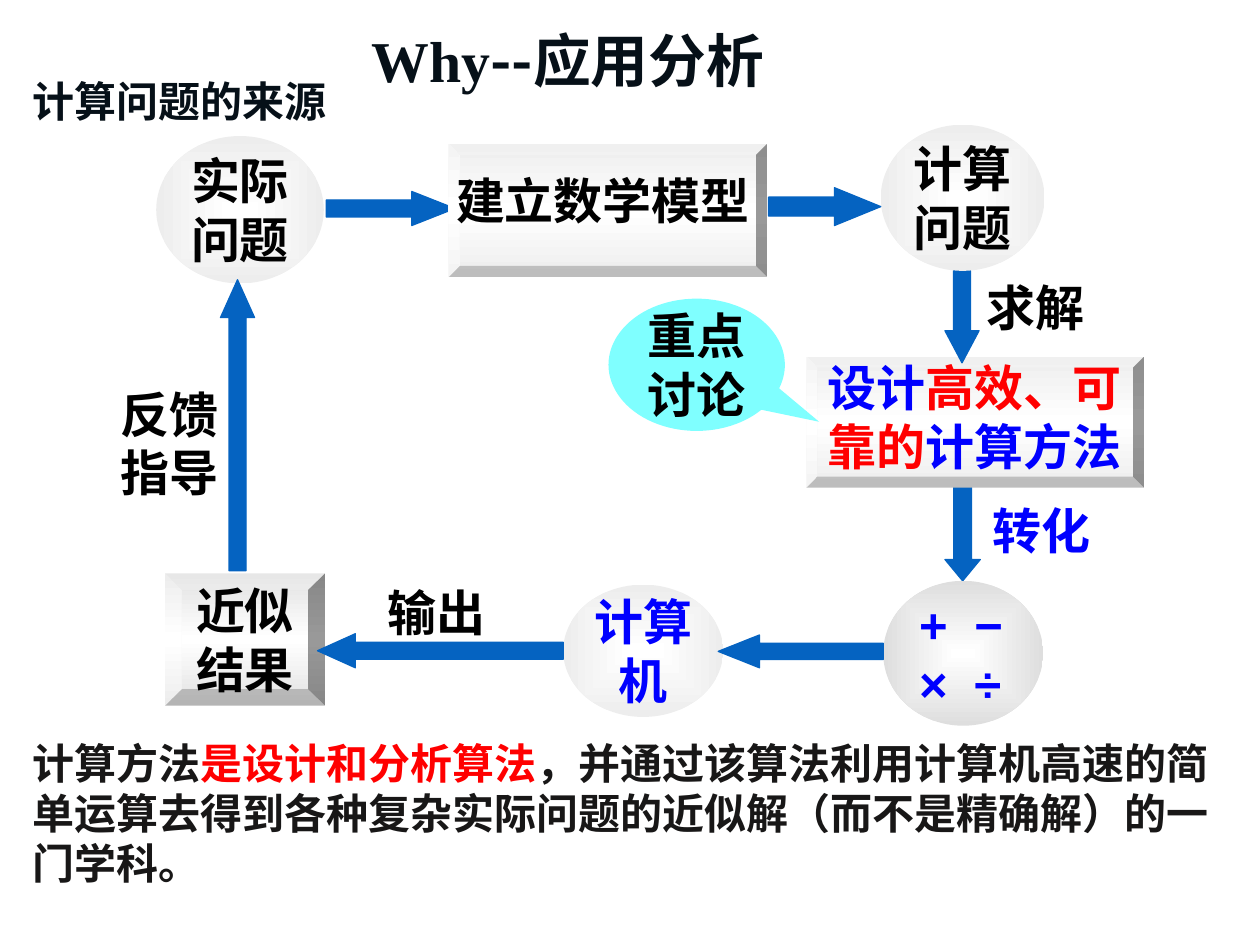
from lxml import etree
from pptx import Presentation
from pptx.dml.color import RGBColor
from pptx.enum.shapes import MSO_SHAPE as SHAPE
from pptx.enum.text import MSO_ANCHOR as ANCHOR, PP_ALIGN as ALIGN
from pptx.oxml import parse_xml
from pptx.oxml.ns import nsdecls, qn
from pptx.util import Inches, Pt

CJK = "Noto Sans CJK SC"
BLACK, BLUE, RED, ARROW = "000000", "0000FF", "FF0000", "0563C1"
INK, BODY = "061018", "181717"


def rgb(value):
    return RGBColor.from_string(value)


def inches(box):
    return [Inches(v) for v in box]


def write(sp, lines, size=28, font="Arial", align=ALIGN.LEFT, anchor=ANCHOR.TOP,
          margins=(0.1, 0.05, 0.1, 0.05), wrap=True):
    """Fill sp with lines; each line is a list of (text, colour) runs."""
    tf = sp.text_frame
    tf.word_wrap, tf.vertical_anchor = wrap, anchor
    tf.margin_left, tf.margin_top, tf.margin_right, tf.margin_bottom = inches(margins)
    for i, runs in enumerate(lines):
        p = tf.add_paragraph() if i else tf.paragraphs[0]
        p.alignment = align
        p.font.size, p.font.bold, p.font.name = Pt(size), True, font
        for text, color in runs:
            r = p.add_run()
            r.text = text
            r.font.color.rgb = rgb(color)
            ea = etree.SubElement(r.font._element, qn("a:ea"))
            ea.set("typeface", CJK)
    return tf


def label(s, box, lines, **style):
    sp = s.shapes.add_textbox(*inches(box))
    write(sp, lines, **style)
    return sp


def add_shape(s, kind, box, fill, adjustments=()):
    sp = s.shapes.add_shape(kind, *inches(box))
    sp.shadow.inherit = False
    sp.fill.solid()
    sp.fill.fore_color.rgb = rgb(fill)
    sp.line.fill.background()
    for i, value in enumerate(adjustments):
        sp.adjustments[i] = value
    return sp


def set_gradient(sp, colors, direction):
    last = len(colors) - 1
    stops = "".join(
        f'<a:gs pos="{100000 * i // last}"><a:srgbClr val="{c}"/></a:gs>'
        for i, c in enumerate(colors))
    grad = parse_xml(f'<a:gradFill {nsdecls("a")} rotWithShape="1">'
                     f'<a:gsLst>{stops}</a:gsLst>{direction}</a:gradFill>')
    solid = sp._element.spPr.find(qn("a:solidFill"))
    solid.getparent().replace(solid, grad)


def ball(s, box, edge="EDEDED"):
    sp = add_shape(s, SHAPE.OVAL, box, edge)
    set_gradient(sp, ["FFFFFF", edge],
                 '<a:path path="shape"><a:fillToRect l="50000" t="50000" '
                 'r="50000" b="50000"/></a:path>')
    return sp


def plate(s, box, edge="EDEDED", depth=0.084):
    sp = add_shape(s, SHAPE.BEVEL, box, edge, [depth])
    set_gradient(sp, [edge, "FFFFFF", edge], '<a:lin ang="5400000" scaled="1"/>')
    return sp


def centre(sp, words, color=BLACK, font="Arial"):
    write(sp, [[(w, color)] for w in words], font=font, align=ALIGN.CENTER,
          anchor=ANCHOR.MIDDLE, margins=(0, 0.05, 0, 0.05), wrap=False)


def arrow(s, kind, box, head, rotation=0):
    sp = add_shape(s, kind, box, ARROW, [0.5, head])
    sp.line.color.rgb = rgb(ARROW)
    sp.line.width = Pt(0.75)
    sp.rotation = rotation


def operators(s, box):
    tf = write(ball(s, box, "DEDEDE"), [[("+\t−", BLUE)], [("×\t÷", BLUE)]],
               anchor=ANCHOR.MIDDLE)
    for p in tf.paragraphs:
        pPr = p._p.get_or_add_pPr()
        pPr.insert(0, parse_xml(f'<a:tabLst {nsdecls("a")}>'
                                f'<a:tab pos="{Inches(0.44)}" algn="l"/></a:tabLst>'))


def modelling_row(s, x, y):
    """Real problem -> mathematical model -> computing problem."""
    centre(ball(s, (x, y + 0.09, 1.33, 1.17)), ["实际", "问题"])
    arrow(s, SHAPE.RIGHT_ARROW, (x + 1.35, y + 0.53, 1.02, 0.27), 1.266)
    plate(s, (x + 2.32, y + 0.15, 2.53, 1.06))
    label(s, (x + 2.38, y + 0.36, 2.47, 0.62), [[("建立数学模型", BLACK)]],
          font=CJK, margins=(0, 0, 0, 0))
    centre(ball(s, (x + 5.75, y, 1.3, 1.16)), ["计算", "问题"], font=CJK)
    arrow(s, SHAPE.RIGHT_ARROW, (x + 4.86, y + 0.5, 0.89, 0.3), 1.225)


def method_column(s, x, y):
    """Solve, design the method, convert it to basic operations."""
    arrow(s, SHAPE.RIGHT_ARROW, (x + 0.85, y + 1.93, 0.78, 0.28), 0.604, 90)
    operators(s, (x + 0.61, y + 2.46, 1.27, 1.15))
    plate(s, (x, y + 0.68, 2.68, 1.04))
    label(s, (x + 0.17, y + 0.69, 2.68, 0.74),
          [[("设计", BLUE), ("高效、可", RED)], [("靠的", RED), ("计算方法", BLUE)]],
          font=CJK, margins=(0, 0, 0, 0))
    arrow(s, SHAPE.RIGHT_ARROW, (x + 0.87, y + 0.23, 0.73, 0.27), 0.942, 90)
    label(s, (x + 1.33, y, 1.11, 0.57), [[("求解", BLACK)]])
    label(s, (x + 1.31, y + 1.77, 1.11, 0.57), [[("转化", BLUE)]], align=ALIGN.CENTER)


def result_row(s, x, y):
    """Computer -> approximate result."""
    centre(ball(s, (x + 3.16, y + 0.09, 1.27, 1.05)), ["计算", "机"], BLUE)
    arrow(s, SHAPE.LEFT_ARROW, (x + 4.39, y + 0.49, 1.31, 0.26), 1.258)
    centre(plate(s, (x, y, 1.27, 1.05), "E2E2E2", 0.125), ["近似", "结果"])
    arrow(s, SHAPE.LEFT_ARROW, (x + 1.21, y + 0.48, 1.95, 0.27), 1.111)
    label(s, (x + 1.67, y + 0.02, 1.14, 0.52), [[("输出", BLACK)]])


def feedback(s, x, y):
    arrow(s, SHAPE.LEFT_ARROW, (x - 0.02, y + 0.24, 2.31, 0.27), 1.111, 90)
    label(s, (x, y, 1.19, 1.04), [[("反馈指导", BLACK)]], align=ALIGN.CENTER)


def focus_callout(s, box):
    sp = add_shape(s, SHAPE.OVAL_CALLOUT, box, "00FFFF", [0.694, 0.431])
    color = sp._element.spPr.find(qn("a:solidFill"))[0]
    etree.SubElement(color, qn("a:alpha")).set("val", "50000")
    write(sp, [[("重点讨论", BLACK)]], align=ALIGN.CENTER, anchor=ANCHOR.MIDDLE)


def title(s, box):
    sp = label(s, box, [[("Why", INK), ("--应用分析", INK)]], size=33,
               margins=(0.08, 0.05, 0.1, 0.04))
    sp.fill.solid()
    sp.fill.fore_color.rgb = rgb("FFFFFF")
    p = sp.text_frame.paragraphs[0]
    p.line_spacing = 0.9
    for r, font in zip(p.runs, ("Times New Roman", CJK)):
        r.font.name = font


def summary(s, box):
    label(s, box, [[("计算方法", BODY), ("是设计和分析算法", RED),
                    ("，并通过该算法利用计算机高速的简单运算去得到各种复杂实际问题的"
                     "近似解（而不是精确解）的一门学科。", BODY)]], size=24, font=CJK)


def main():
    prs = Presentation()
    prs.slide_width, prs.slide_height = Inches(10), Inches(7.5)
    s = prs.slides.add_slide(prs.slide_layouts[6])
    title(s, (2.87, 0.21, 4.96, 0.67))
    label(s, (0.16, 0.55, 2.7, 0.5), [[("计算问题的来源", INK)]], size=24, font=CJK)
    method_column(s, 6.4, 2.15)
    result_row(s, 1.31, 4.55)
    focus_callout(s, (4.83, 2.37, 1.4, 1.05))
    modelling_row(s, 1.24, 0.99)
    feedback(s, 0.75, 3)
    summary(s, (0.16, 5.8, 9.8, 1.31))
    prs.save("out.pptx")


if __name__ == "__main__":
    main()
